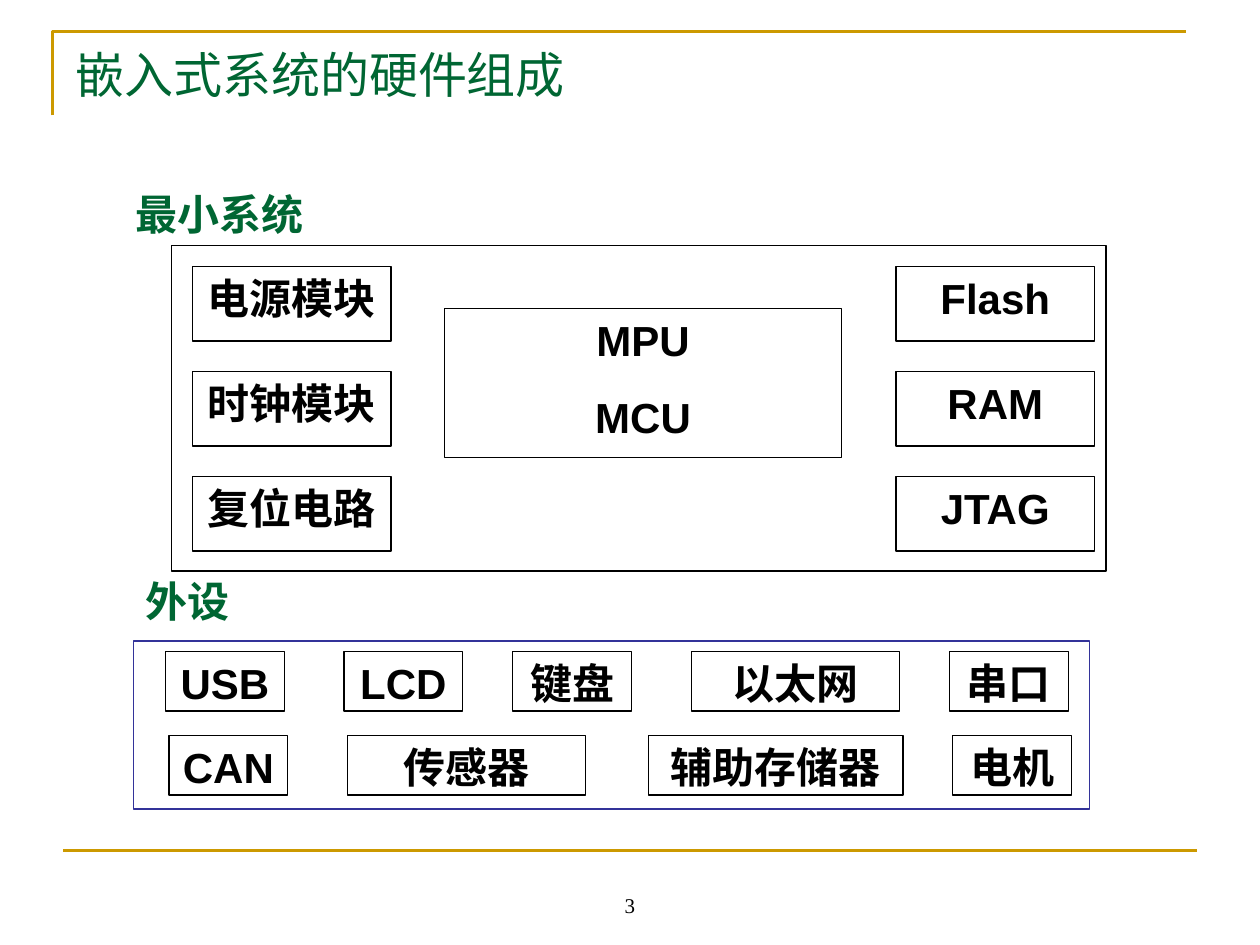
from lxml import etree
from pptx import Presentation
from pptx.dml.color import RGBColor
from pptx.enum.shapes import MSO_CONNECTOR, MSO_SHAPE
from pptx.enum.text import MSO_ANCHOR, MSO_AUTO_SIZE, PP_ALIGN
from pptx.oxml.ns import qn
from pptx.util import Pt

RECTANGLE = MSO_SHAPE.RECTANGLE
STRAIGHT = MSO_CONNECTOR.STRAIGHT
TOP, MIDDLE, BOTTOM = MSO_ANCHOR.TOP, MSO_ANCHOR.MIDDLE, MSO_ANCHOR.BOTTOM
LEFT, CENTER = PP_ALIGN.LEFT, PP_ALIGN.CENTER
NO_AUTOFIT = MSO_AUTO_SIZE.NONE
COLORS = {"gold": "CC9900", "green": "006633", "black": "000000", "blue": "333399"}


def write(holder, text, size, font, color, bold=False, align=LEFT, anchor=TOP, before=0):
    frame = holder.text_frame
    frame.text = text
    frame.word_wrap = True
    frame.auto_size = NO_AUTOFIT
    frame.vertical_anchor = anchor
    for paragraph in frame.paragraphs:
        paragraph.alignment = align
        paragraph.space_before = Pt(before)
        paragraph.font.size = Pt(size)
        paragraph.font.name = font
        paragraph.font.bold = bold
        paragraph.font.color.rgb = RGBColor.from_string(COLORS[color])


def add_box(left, top, width, height, text="", color="black"):
    box = slide.shapes.add_shape(RECTANGLE, Pt(left), Pt(top), Pt(width), Pt(height))
    box.shadow.inherit = False
    box.fill.background()
    box.line.color.rgb = RGBColor.from_string(COLORS[color])
    box.line.width = Pt(0.75)
    if text:
        write(box, text, 24, "Arial", "black", bold=True, align=CENTER, before=15)


deck = Presentation()
deck.slide_width, deck.slide_height = Pt(720), Pt(540)
slide = deck.slides.add_slide(deck.slide_layouts[5])

corner_path = slide.shapes.build_freeform(Pt(30), Pt(66))
corner_path.add_line_segments([(Pt(30), Pt(18)), (Pt(678), Pt(18))], close=False)
corner = corner_path.convert_to_shape()
corner.shadow.inherit = False
corner.fill.background()

footer_rule = slide.shapes.add_connector(STRAIGHT, Pt(36), Pt(486), Pt(684), Pt(486))
etree.SubElement(footer_rule._element.spPr, qn("a:effectLst"))
for rule in (corner, footer_rule):
    rule.line.color.rgb = RGBColor.from_string(COLORS["gold"])
    rule.line.width = Pt(1.5)

title = slide.shapes.title
title.left, title.top, title.width, title.height = Pt(36), Pt(21.6), Pt(648), Pt(49.7)
write(title, "嵌入式系统的硬件组成", 28, "Times New Roman", "green")

page_number = slide.shapes.add_textbox(Pt(246), Pt(492), Pt(228), Pt(36))
write(page_number, "3", 12, "Times New Roman", "black", align=CENTER, anchor=BOTTOM)

for heading, left, top in (("最小系统", 70.5, 100), ("外设", 76.3, 321)):
    section = slide.shapes.add_textbox(Pt(left), Pt(top), Pt(582), Pt(44.8))
    write(section, heading, 24, "Arial", "green", bold=True, anchor=MIDDLE)

add_box(98, 140.3, 534, 186)
module_columns = (
    (110, ("电源模块", "时钟模块", "复位电路")),
    (512, ("Flash", "RAM", "JTAG")),
)
for left, modules in module_columns:
    for row, module in enumerate(modules):
        add_box(left, 152.3 + 60 * row, 113.4, 42.6, module)
add_box(254, 176.3, 226.8, 85.2, "MPU\nMCU")

add_box(76.5, 366.3, 546, 96, color="blue")
peripheral_rows = (
    (372.3, (("USB", 94.5, 68), ("LCD", 196.5, 68), ("键盘", 293, 68),
             ("以太网", 395, 119), ("串口", 542.4, 68))),
    (420.3, (("CAN", 96.5, 68), ("传感器", 198.5, 136),
             ("辅助存储器", 370.5, 145.6), ("电机", 544.4, 68))),
)
for top, peripherals in peripheral_rows:
    for peripheral, left, width in peripherals:
        add_box(left, top, width, 34, peripheral)

deck.save("out.pptx")
